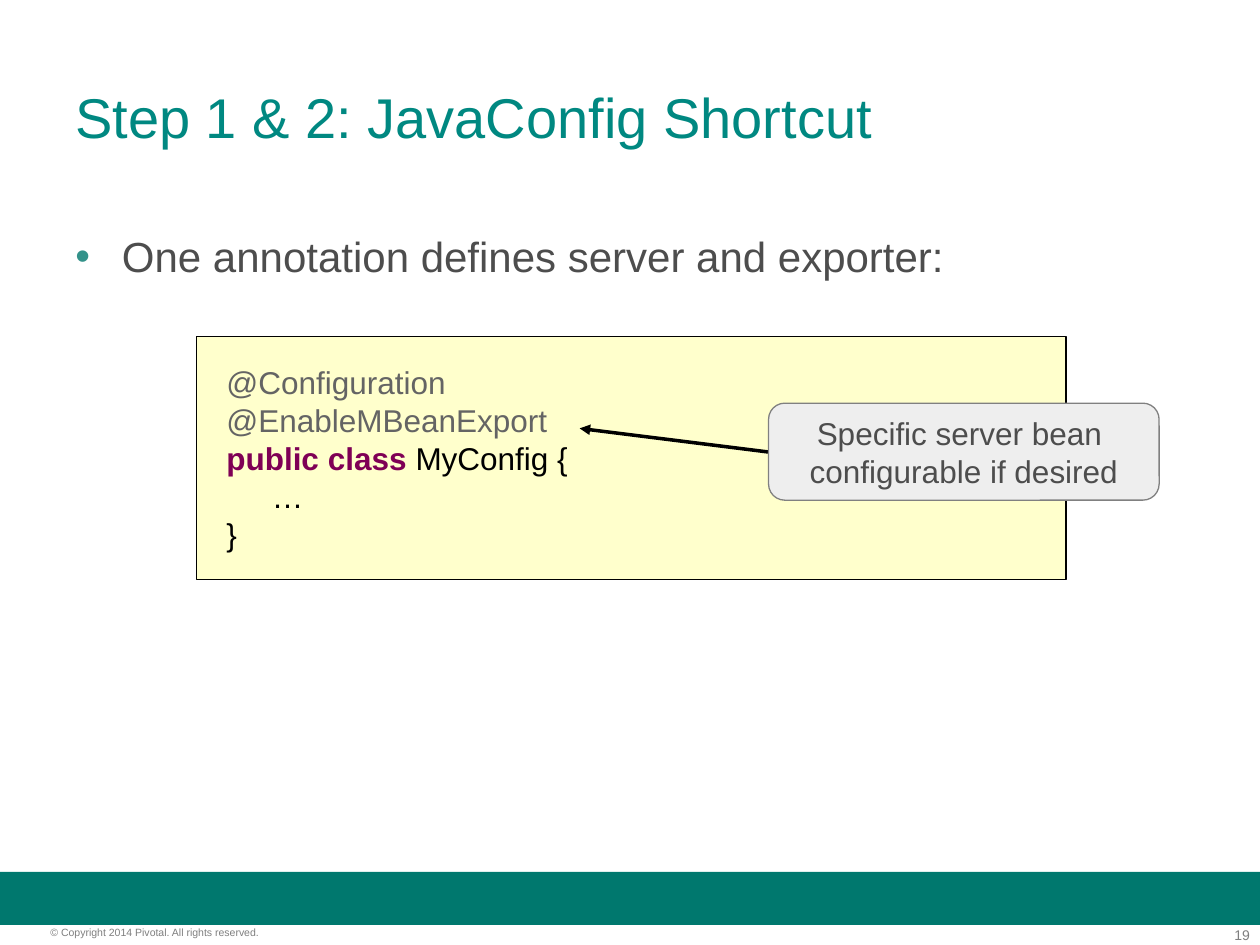
from lxml import etree
from pptx import Presentation
from pptx.dml.color import RGBColor
from pptx.enum.shapes import MSO_CONNECTOR, MSO_SHAPE
from pptx.enum.text import MSO_ANCHOR, PP_ALIGN
from pptx.oxml.ns import qn
from pptx.util import Inches, Pt

RECT, ROUNDED = MSO_SHAPE.RECTANGLE, MSO_SHAPE.ROUNDED_RECTANGLE
STRAIGHT = MSO_CONNECTOR.STRAIGHT
TOP, MIDDLE = MSO_ANCHOR.TOP, MSO_ANCHOR.MIDDLE
LEFT, CENTER, RIGHT = PP_ALIGN.LEFT, PP_ALIGN.CENTER, PP_ALIGN.RIGHT

THEME = {
    "font": "Arial",
    "title": "008881", "text": "4D4D4D", "bullet": "33928A", "footer": "7F7F7F",
    "band": "00786E", "code_fill": "FFFFCC", "callout_fill": "EEEEEE",
    "callout_line": "808080", "code": "000000", "annotation": "646464",
    "keyword": "7F0055",
    "title_size": 32, "body_size": 24, "code_size": 18, "page_size": 8, "legal_size": 6,
}

deck = Presentation()
deck.slide_width, deck.slide_height = Inches(10), Inches(7.5)
COLUMN, ROW = deck.slide_width / 100, deck.slide_height / 75
slide = deck.slides.add_slide(deck.slide_layouts[6])
shapes = slide.shapes


def cells(column, row, columns, rows):
    return [round(n * unit) for n, unit in
            zip((column, row, columns, rows), (COLUMN, ROW, COLUMN, ROW))]


def write(box, lines, size, color, align=LEFT, anchor=TOP, inset=True, bullet=None):
    frame = box.text_frame
    frame.word_wrap = True
    frame.vertical_anchor = anchor
    frame.margin_left = frame.margin_right = Inches(0.1 if inset else 0)
    frame.margin_top = frame.margin_bottom = Inches(0.05 if inset else 0)
    for index, line in enumerate(lines):
        paragraph = frame.paragraphs[0] if index == 0 else frame.add_paragraph()
        paragraph.alignment = align
        if bullet:
            properties = paragraph._p.get_or_add_pPr()
            properties.set("marL", str(Inches(0.37)))
            properties.set("indent", str(-Inches(0.37)))
            bullet_color = etree.SubElement(properties, qn("a:buClr"))
            etree.SubElement(bullet_color, qn("a:srgbClr"), val=THEME[bullet])
            etree.SubElement(properties, qn("a:buFont"), typeface=THEME["font"])
            etree.SubElement(properties, qn("a:buChar"), char="•")
        for words, tint in [(line, color)] if isinstance(line, str) else line:
            run = paragraph.add_run()
            run.text = words
            run.font.name = THEME["font"]
            run.font.size = Pt(THEME[size])
            run.font.bold = tint == "keyword"
            run.font.color.rgb = RGBColor.from_string(THEME[tint])


panels = []
for preset, area, fill, outline, width in (
    (RECT, (0, 69.2, 100, 4.2), "band", None, 0),
    (RECT, (15.6, 26.7, 69, 19.3), "code_fill", "code", 1),
    (ROUNDED, (61, 32, 31, 7.7), "callout_fill", "callout_line", 0),
):
    panel = shapes.add_shape(preset, *cells(*area))
    panel.shadow.inherit = False
    panel.fill.solid()
    panel.fill.fore_color.rgb = RGBColor.from_string(THEME[fill])
    if outline:
        panel.line.color.rgb = RGBColor.from_string(THEME[outline])
        panel.line.width = Pt(width)
    else:
        panel.line.fill.background()
    panels.append(panel)
band, code, callout = panels

write(code, [
    [("  ", "code"), ("@Configuration", "annotation")],
    [("  @EnableMBeanExport", "annotation")],
    [("  ", "code"), ("public class ", "keyword"), ("MyConfig {", "code")],
    "\t…",
    "  }",
], "code_size", "code", anchor=MIDDLE)
write(callout, ["Specific server bean ", "configurable if desired"],
      "code_size", "text", align=CENTER, anchor=MIDDLE)

for area, words, size, color, style in (
    ((5, 3, 90, 12.5), "Step 1 & 2: JavaConfig Shortcut", "title_size", "title",
     {"anchor": MIDDLE}),
    ((5, 17.8, 90, 49.2), "One annotation defines server and exporter:", "body_size", "text",
     {"bullet": "bullet"}),
    ((4, 73.5, 24.9, 1), "© Copyright 2014 Pivotal. All rights reserved.", "legal_size",
     "footer", {"inset": False}),
    ((93.4, 73.5, 5.8, 1.3), "19", "page_size", "footer", {"inset": False, "align": RIGHT}),
):
    write(shapes.add_textbox(*cells(*area)), [words], size, color, **style)

pointer = shapes.add_connector(STRAIGHT, *cells(62, 36, 46, 34))
pointer.line.color.rgb = RGBColor.from_string(THEME["code"])
pointer.line.width = Pt(0)
etree.SubElement(pointer.line._get_or_add_ln(), qn("a:tailEnd"), type="triangle")
etree.SubElement(pointer._element.spPr, qn("a:effectLst"))
shapes._spTree.remove(callout._element)
shapes._spTree.append(callout._element)

deck.save("out.pptx")
